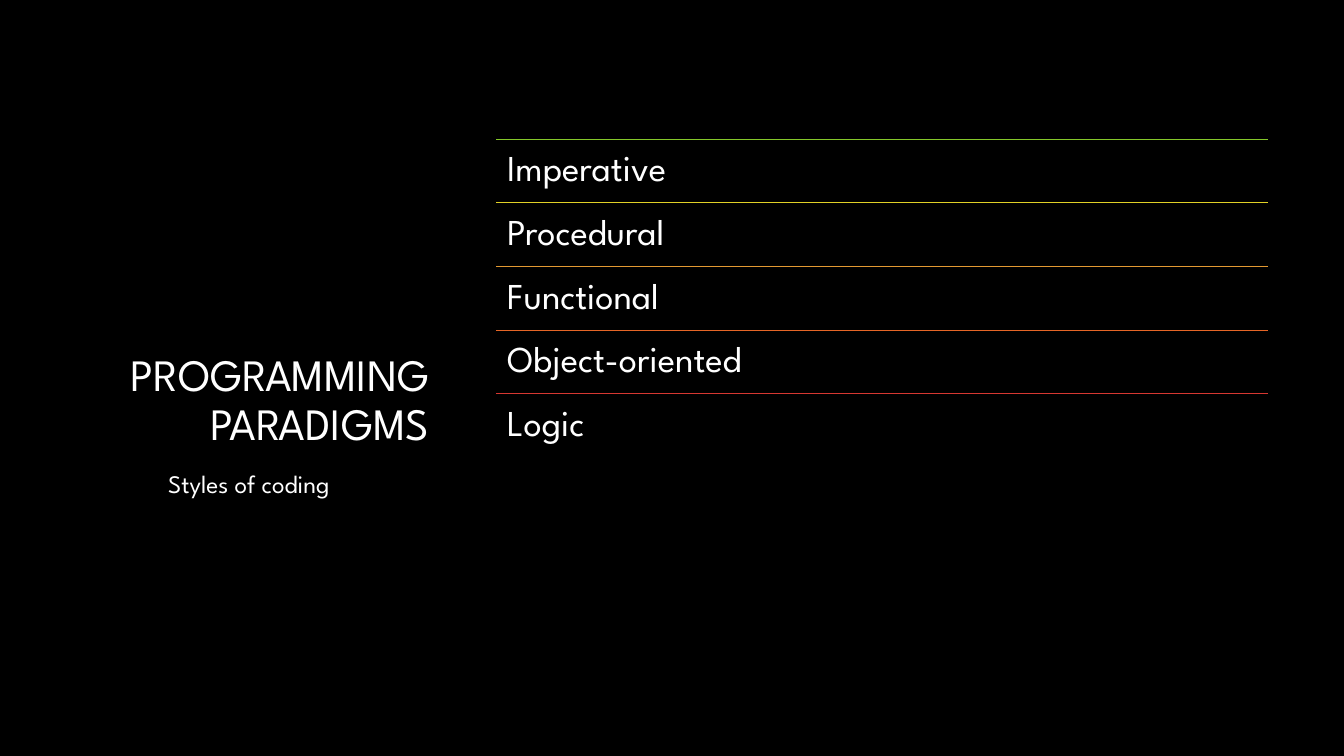
from dataclasses import dataclass

from lxml import etree
from pptx import Presentation
from pptx.dml.color import RGBColor
from pptx.enum.shapes import MSO_CONNECTOR
from pptx.enum.text import MSO_ANCHOR, MSO_AUTO_SIZE, PP_ALIGN
from pptx.oxml.ns import qn
from pptx.util import Inches, Pt


@dataclass(frozen=True)
class Theme:
    font: str = "League Spartan"
    background: str = "000000"
    text: str = "FFFFFF"
    rules: tuple = ("84C72A", "E1D126", "E29932", "E56526", "D63731")
    title_size: int = 32
    item_size: int = 26
    caption_size: int = 18
    rule_width: float = 0.75


THEME = Theme()
PARADIGMS = ("Imperative", "Procedural", "Functional", "Object-oriented", "Logic")


def add_text(slide, box, text, size):
    """Add a one-paragraph text box; return its frame and paragraph."""
    tf = slide.shapes.add_textbox(*map(Inches, box)).text_frame
    tf.word_wrap = True
    p = tf.paragraphs[0]
    p.text = text
    p.font.name = THEME.font
    p.font.size = Pt(size)
    p.font.color.rgb = RGBColor.from_string(THEME.text)
    return tf, p


def add_rule(slide, left, top, width, color):
    line = slide.shapes.add_connector(
        MSO_CONNECTOR.STRAIGHT,
        Inches(left), Inches(top), Inches(left + width), Inches(top))
    line.line.color.rgb = RGBColor.from_string(color)
    line.line.width = Pt(THEME.rule_width)
    etree.SubElement(line._element.spPr, qn("a:effectLst"))


def add_title(slide, box, text):
    tf, p = add_text(slide, box, text, THEME.title_size)
    tf.vertical_anchor = MSO_ANCHOR.MIDDLE
    p.alignment = PP_ALIGN.RIGHT
    p.line_spacing = 0.9
    p.space_after = Pt(6)


def add_ruled_list(slide, box, items):
    """Stack the items in equal rows, each under its own coloured rule."""
    left, top, width, height = box
    row_height = height / len(items)
    for i, (item, color) in enumerate(zip(items, THEME.rules)):
        row_top = top + i * row_height
        add_rule(slide, left, row_top, width, color)
        tf, p = add_text(slide, (left, row_top, width, row_height), item,
                         THEME.item_size)
        tf.margin_left = tf.margin_right = Inches(0.11)
        tf.margin_top = tf.margin_bottom = Inches(0.11)
        p.line_spacing = 0.9


def add_caption(slide, box, text):
    tf, _ = add_text(slide, box, text, THEME.caption_size)
    tf.word_wrap = False
    tf.auto_size = MSO_AUTO_SIZE.SHAPE_TO_FIT_TEXT


def main():
    prs = Presentation()
    prs.slide_width, prs.slide_height = Inches(13.33), Inches(7.5)
    slide = prs.slides.add_slide(prs.slide_layouts[6])

    # Background
    fill = slide.background.fill
    fill.solid()
    fill.fore_color.rgb = RGBColor.from_string(THEME.background)

    # Title on the left, list on the right, caption under the title
    add_title(slide, (0.4, 1.17, 3.96, 5.63), "PROGRAMMING PARADIGMS")
    add_ruled_list(slide, (4.92, 1.38, 7.66, 3.16), PARADIGMS)
    add_caption(slide, (1.57, 4.6, 2.12, 0.4), "Styles of coding")

    prs.save("out.pptx")


if __name__ == "__main__":
    main()
